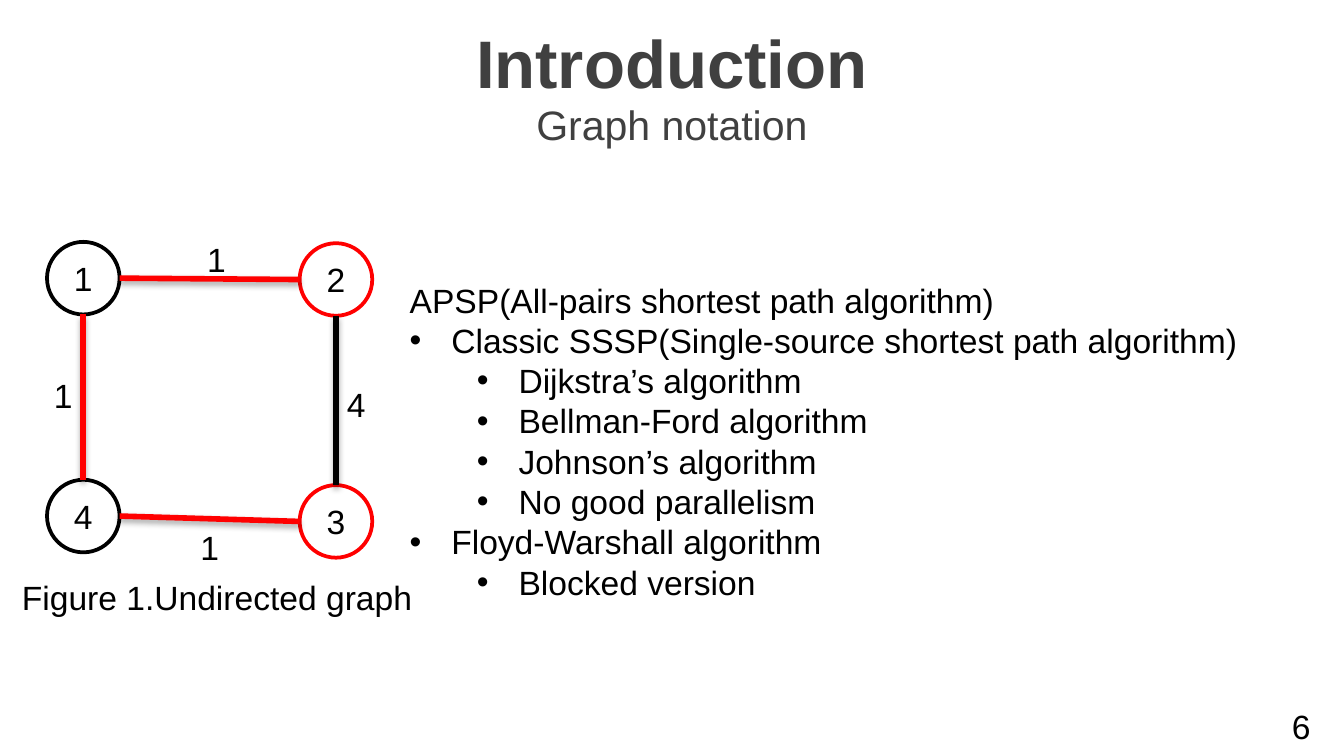
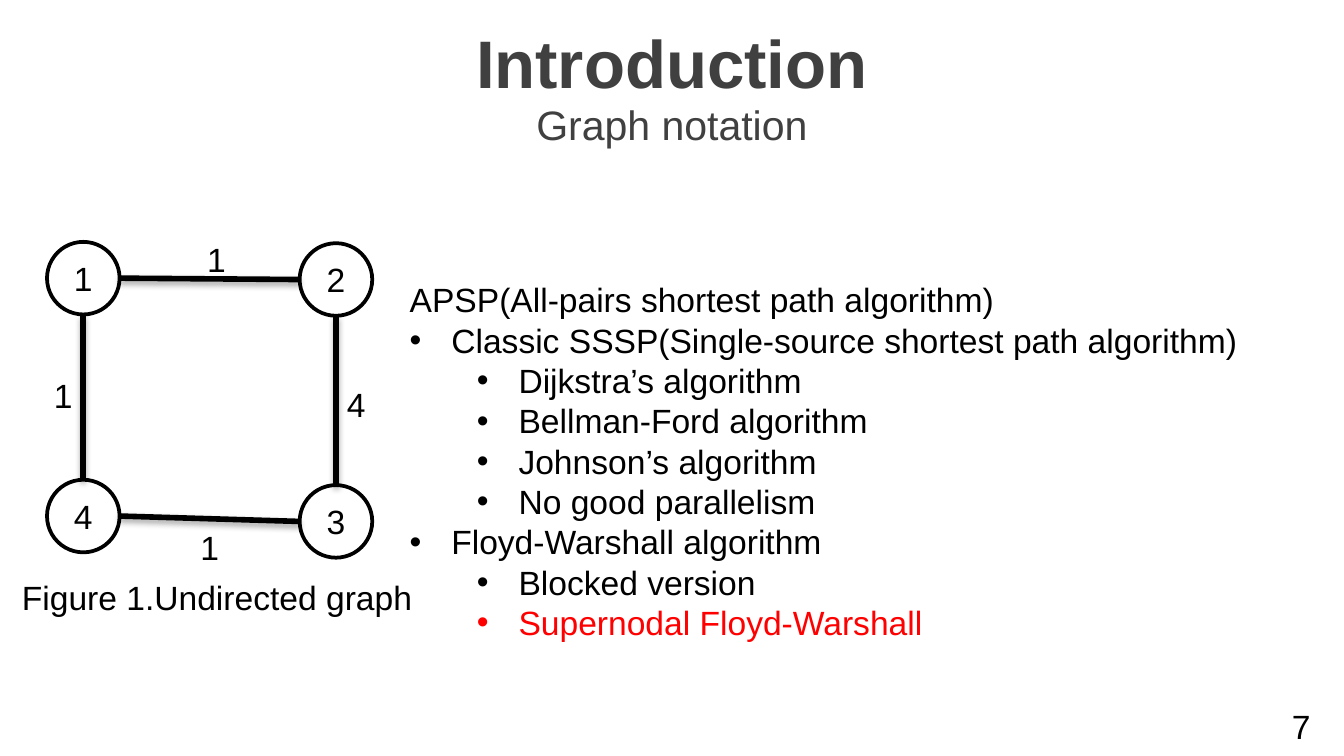
from dataclasses import dataclass

from lxml.etree import SubElement
from pptx import Presentation
from pptx.dml.color import RGBColor
from pptx.enum.shapes import MSO_CONNECTOR, MSO_SHAPE
from pptx.enum.text import MSO_ANCHOR, MSO_AUTO_SIZE, PP_ALIGN
from pptx.oxml import parse_xml
from pptx.oxml.ns import nsdecls, qn
from pptx.util import Inches, Pt


@dataclass(frozen=True)
class Theme:
    font: str = "Arial"
    black: RGBColor = RGBColor(0x00, 0x00, 0x00)
    white: RGBColor = RGBColor(0xFF, 0xFF, 0xFF)
    red: RGBColor = RGBColor(0xFF, 0x00, 0x00)
    heading: RGBColor = RGBColor(0x40, 0x40, 0x40)
    title_size: int = 36
    subtitle_size: int = 22
    body_size: int = 18
    node_line: int = 2
    edge_line: int = 3


theme = Theme()

EDGE_SHADOW = f"""<a:effectLst {nsdecls("a")}>
  <a:outerShdw blurRad="40000" dist="23000" dir="5400000" rotWithShape="0">
    <a:srgbClr val="000000"><a:alpha val="35000"/></a:srgbClr>
  </a:outerShdw>
</a:effectLst>"""

# Graph geometry: node centres, and edges as (start, end, label, label left, label top)
RADIUS = 0.27
NODES = {"1": (0.62, 2.07), "2": (2.5, 2.08), "4": (0.62, 3.84), "3": (2.5, 3.88)}
EDGES = [
    ("1", "2", "1", 1.42, 1.73),
    ("1", "4", "1", 0.28, 2.74),
    ("3", "2", "4", 2.46, 2.81),
    ("4", "3", "1", 1.37, 3.87),
]

# Outline: (bullet depth, text, colour), where depth 0 has no bullet
OUTLINE = [
    (0, "APSP(All-pairs shortest path algorithm)", theme.black),
    (1, "Classic SSSP(Single-source shortest path algorithm)", theme.black),
    (2, "Dijkstra’s algorithm", theme.black),
    (2, "Bellman-Ford algorithm", theme.black),
    (2, "Johnson’s algorithm", theme.black),
    (2, "No good parallelism", theme.black),
    (1, "Floyd-Warshall algorithm", theme.black),
    (2, "Blocked version", theme.black),
]
SUPERNODAL = (2, "Supernodal Floyd-Warshall", theme.red)

# What differs: page number, red nodes, red edges, outline, outline height
PAGES = [
    ("6", "23", ["12", "14", "43"], OUTLINE, 2.52),
    ("7", "", [], OUTLINE + [SUPERNODAL], 2.83),
]


def write_text(shape, text, size=theme.body_size, color=theme.black, bold=False,
               align=PP_ALIGN.CENTER, anchor=MSO_ANCHOR.TOP, inset=None,
               grow=False, depth=0):
    """Add a paragraph to the shape, filling its empty first one if there is one."""
    frame = shape.text_frame
    frame.word_wrap = True
    frame.vertical_anchor = anchor
    frame.auto_size = MSO_AUTO_SIZE.SHAPE_TO_FIT_TEXT if grow else MSO_AUTO_SIZE.NONE
    if inset is not None:
        frame.margin_left = frame.margin_right = Inches(inset)
        frame.margin_top = frame.margin_bottom = Inches(inset)
    paragraph = frame.add_paragraph() if frame.text else frame.paragraphs[0]
    paragraph.alignment = align
    paragraph.space_before = Pt(0)
    if depth:
        paragraph.level = depth - 1
        properties = paragraph._p.get_or_add_pPr()
        properties.set("marL", str(Inches(0.31 + 0.5 * (depth - 1))))
        properties.set("indent", str(Inches(-0.31)))
        SubElement(properties, qn("a:buFont"), typeface=theme.font)
        SubElement(properties, qn("a:buChar"), char="•")
    run = paragraph.add_run()
    run.text = text
    run.font.name = theme.font
    run.font.size = Pt(size)
    run.font.bold = bold
    run.font.color.rgb = color


def add_box(slide, left, top, width, height):
    return slide.shapes.add_textbox(Inches(left), Inches(top), Inches(width), Inches(height))


# A 16:9 page
presentation = Presentation()
presentation.slide_width = Inches(10)
presentation.slide_height = Inches(10 * 9 / 16)

for number, red_nodes, red_edges, outline, outline_height in PAGES:
    slide = presentation.slides.add_slide(presentation.slide_layouts[5])

    # Title and subtitle
    title = slide.shapes.title
    title.left, title.top = Inches(0), Inches(0.14)
    title.width, title.height = Inches(10), Inches(0.63)
    write_text(title, "Introduction", size=theme.title_size, color=theme.heading,
               bold=True, anchor=MSO_ANCHOR.MIDDLE)
    write_text(add_box(slide, 0, 0.77, 10, 0.31), "Graph notation",
               size=theme.subtitle_size, color=theme.heading,
               anchor=MSO_ANCHOR.MIDDLE, inset=0)

    # Graph nodes
    for name, (x, y) in NODES.items():
        node = slide.shapes.add_shape(
            MSO_SHAPE.OVAL, Inches(x - RADIUS), Inches(y - RADIUS),
            Inches(2 * RADIUS), Inches(2 * RADIUS))
        node.shadow.inherit = False
        node.fill.solid()
        node.fill.fore_color.rgb = theme.white
        node.line.color.rgb = theme.red if name in red_nodes else theme.black
        node.line.width = Pt(theme.node_line)
        write_text(node, name, anchor=MSO_ANCHOR.MIDDLE, inset=0)

    # Graph edges, from rim to rim, with their weights
    for start, end, weight, label_left, label_top in EDGES:
        (x1, y1), (x2, y2) = NODES[start], NODES[end]
        if x1 == x2:
            shift_x, shift_y = 0, RADIUS if y2 > y1 else -RADIUS
        else:
            shift_x, shift_y = RADIUS, 0
        edge = slide.shapes.add_connector(
            MSO_CONNECTOR.STRAIGHT, Inches(x1 + shift_x), Inches(y1 + shift_y),
            Inches(x2 - shift_x), Inches(y2 - shift_y))
        edge.line.color.rgb = theme.red if start + end in red_edges else theme.black
        edge.line.width = Pt(theme.edge_line)
        edge._element.spPr.append(parse_xml(EDGE_SHADOW))
        write_text(add_box(slide, label_left, label_top, 0.38, 0.4), weight, grow=True)

    # Algorithm outline
    outline_box = add_box(slide, 2.95, 2.03, 6.81, outline_height)
    for depth, text, color in outline:
        write_text(outline_box, text, color=color, align=PP_ALIGN.LEFT,
                   grow=True, depth=depth)

    # Caption and page number
    write_text(add_box(slide, 0.02, 4.24, 3.19, 0.4), "Figure 1.Undirected graph", grow=True)
    write_text(add_box(slide, 7.6, 5.25, 2.25, 0.3), number,
               align=PP_ALIGN.RIGHT, anchor=MSO_ANCHOR.MIDDLE)

presentation.save("out.pptx")
